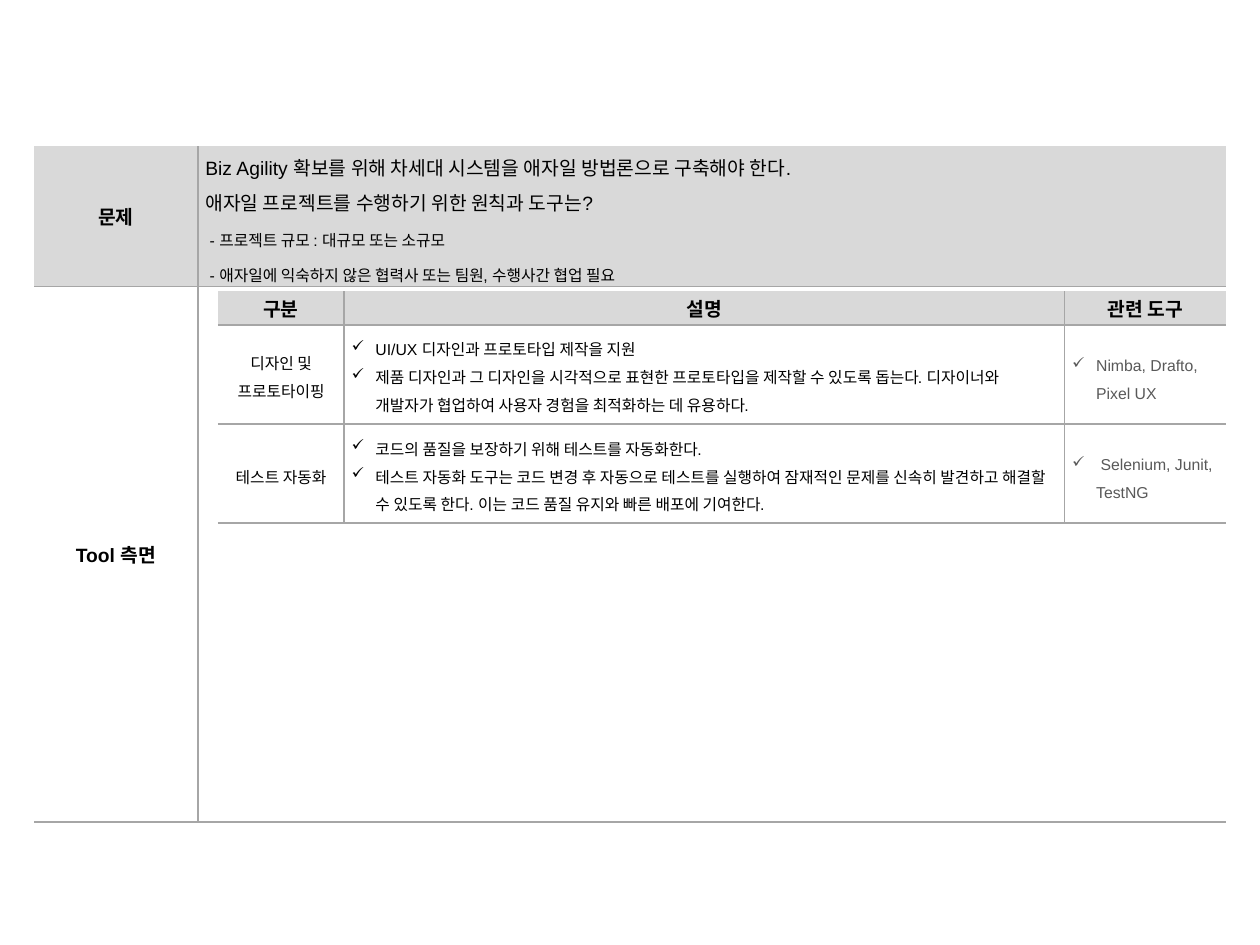
from dataclasses import dataclass

from lxml.etree import SubElement
from pptx import Presentation
from pptx.dml.color import RGBColor
from pptx.enum.text import MSO_ANCHOR, PP_ALIGN
from pptx.oxml.ns import qn
from pptx.util import Inches, Pt


@dataclass(frozen=True)
class Theme:
    font: str = "Arial"
    text: str = "000000"
    muted: str = "595959"
    shade: str = "D9D9D9"
    rule: str = "A6A6A6"
    heading: int = 11
    body: int = 9


THEME = Theme()
ISSUE = [
    ("Biz Agility 확보를 위해 차세대 시스템을 애자일 방법론으로 구축해야 한다.", THEME.heading),
    ("애자일 프로젝트를 수행하기 위한 원칙과 도구는?", THEME.heading),
    (" - 프로젝트 규모 : 대규모 또는 소규모", THEME.body),
    (" - 애자일에 익숙하지 않은 협력사 또는 팀원, 수행사간 협업 필요", THEME.body),
]
TOOL_HEADINGS = ["구분", "설명", "관련 도구"]
TOOLS = [
    ("디자인 및 프로토타이핑",
     ["UI/UX 디자인과 프로토타입 제작을 지원",
      "제품 디자인과 그 디자인을 시각적으로 표현한 프로토타입을 제작할 수 있도록 돕는다. "
      "디자이너와 개발자가 협업하여 사용자 경험을 최적화하는 데 유용하다."],
     "Nimba, Drafto, Pixel UX"),
    ("테스트 자동화",
     ["코드의 품질을 보장하기 위해 테스트를 자동화한다.",
      "테스트 자동화 도구는 코드 변경 후 자동으로 테스트를 실행하여 잠재적인 문제를 신속히 "
      "발견하고 해결할 수 있도록 한다. 이는 코드 품질 유지와 빠른 배포에 기여한다."],
     " Selenium, Junit, TestNG"),
]


def set_borders(cell, visible_sides):
    properties = cell._tc.get_or_add_tcPr()
    for side in "LRTB":
        line = SubElement(properties, qn(f"a:ln{side}"), w=str(Pt(1)))
        if side in visible_sides:
            fill = SubElement(line, qn("a:solidFill"))
            SubElement(fill, qn("a:srgbClr"), val=THEME.rule)
        else:
            SubElement(line, qn("a:noFill"))


def add_grid(slide, box, widths, heights, shaded_rows=1):
    """Add a table ruled between its columns and below every row."""
    shape = slide.shapes.add_table(len(heights), len(widths), *map(Inches, box))
    table = shape.table
    table.first_row = table.horz_banding = False
    for column, width in zip(table.columns, widths):
        column.width = Inches(width)
    for row, height in zip(table.rows, heights):
        row.height = Inches(height)
    for row_index, row in enumerate(table.rows):
        for column_index, cell in enumerate(row.cells):
            sides = "B"
            sides += "T" if row_index else ""
            sides += "L" if column_index else ""
            sides += "R" if column_index < len(widths) - 1 else ""
            set_borders(cell, sides)
            if row_index < shaded_rows:
                cell.fill.solid()
                cell.fill.fore_color.rgb = RGBColor.from_string(THEME.shade)
            else:
                cell.fill.background()
    return table


def set_padding(cell, side, vertical=0):
    cell.vertical_anchor = MSO_ANCHOR.MIDDLE
    cell.margin_left = cell.margin_right = Inches(side)
    cell.margin_top = cell.margin_bottom = Inches(vertical)


def write_cell(cell, lines, color=THEME.text, bold=False, centered=False,
               spacing=None, checked=False):
    """Write (text, size) lines, one paragraph each."""
    frame = cell.text_frame
    for index, (text, size) in enumerate(lines):
        paragraph = frame.add_paragraph() if index else frame.paragraphs[0]
        paragraph.alignment = PP_ALIGN.CENTER if centered else PP_ALIGN.LEFT
        if spacing:
            paragraph.line_spacing = Pt(spacing)
        if checked:
            properties = paragraph._p.get_or_add_pPr()
            properties.set("marL", str(Inches(0.19)))
            properties.set("indent", str(-Inches(0.19)))
            SubElement(properties, qn("a:buChar"), char="✓")
        run = paragraph.add_run()
        run.text = text
        run.font.name = THEME.font
        run.font.size = Pt(size)
        run.font.bold = bold
        run.font.color.rgb = RGBColor.from_string(color)


def add_overview(slide, left, top, width):
    label_width = 1.3
    heights = [1.11, 4.25]
    table = add_grid(slide, (left, top, width, sum(heights)),
                     [label_width, width - label_width], heights)
    for row, label in enumerate(["문제", "Tool 측면"]):
        cell = table.cell(row, 0)
        set_padding(cell, 0.06)
        write_cell(cell, [(label, THEME.heading)], bold=True, centered=True)
    issue_cell = table.cell(0, 1)
    set_padding(issue_cell, 0.06)
    write_cell(issue_cell, ISSUE, spacing=20)


def add_tools(slide, left, top, width):
    category_width, tool_width = 1, 1.28
    widths = [category_width, width - category_width - tool_width, tool_width]
    heights = [0.27] + [0.78] * len(TOOLS)
    table = add_grid(slide, (left, top, width, sum(heights)), widths, heights)

    # Heading row
    for column, heading in enumerate(TOOL_HEADINGS):
        cell = table.cell(0, column)
        set_padding(cell, 0.05)
        write_cell(cell, [(heading, THEME.heading)], bold=True, centered=True)

    # One row for each kind of tool
    for row, (category, descriptions, tools) in enumerate(TOOLS, start=1):
        category_cell, description_cell, tool_cell = table.rows[row].cells
        for cell in (category_cell, description_cell, tool_cell):
            set_padding(cell, 0.06, 0.06)
        write_cell(category_cell, [(category, THEME.body)], centered=True, spacing=16)
        write_cell(description_cell, [(text, THEME.body) for text in descriptions],
                   spacing=16, checked=True)
        write_cell(tool_cell, [(tools, THEME.body)], color=THEME.muted,
                   spacing=16, checked=True)


def main():
    presentation = Presentation()
    presentation.slide_width = Inches(10)
    presentation.slide_height = Inches(7.5)
    slide = presentation.slides.add_slide(presentation.slide_layouts[6])
    add_overview(slide, 0.27, 1.16, 9.46)
    add_tools(slide, 1.73, 2.31, 8)
    presentation.save("out.pptx")


if __name__ == "__main__":
    main()
